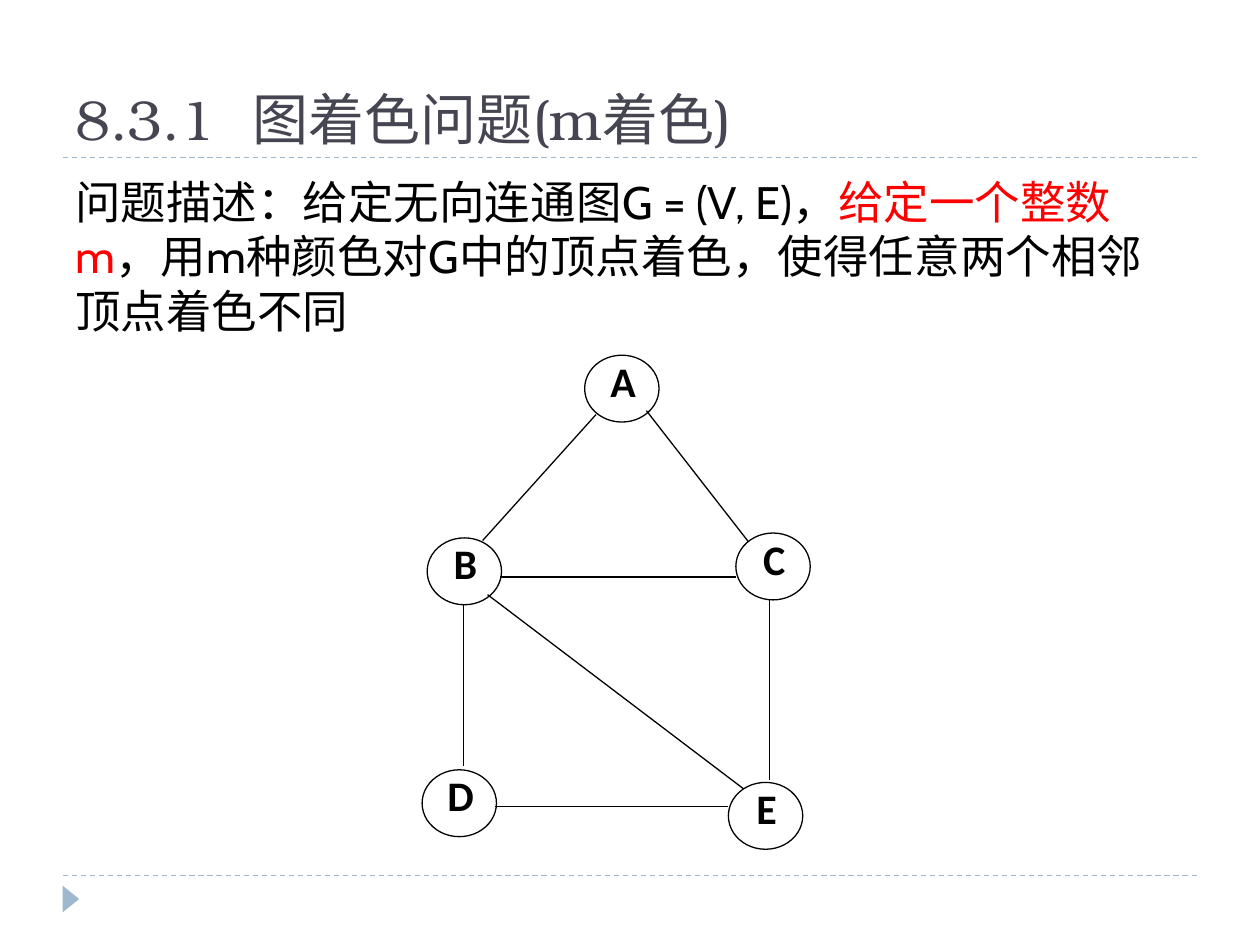
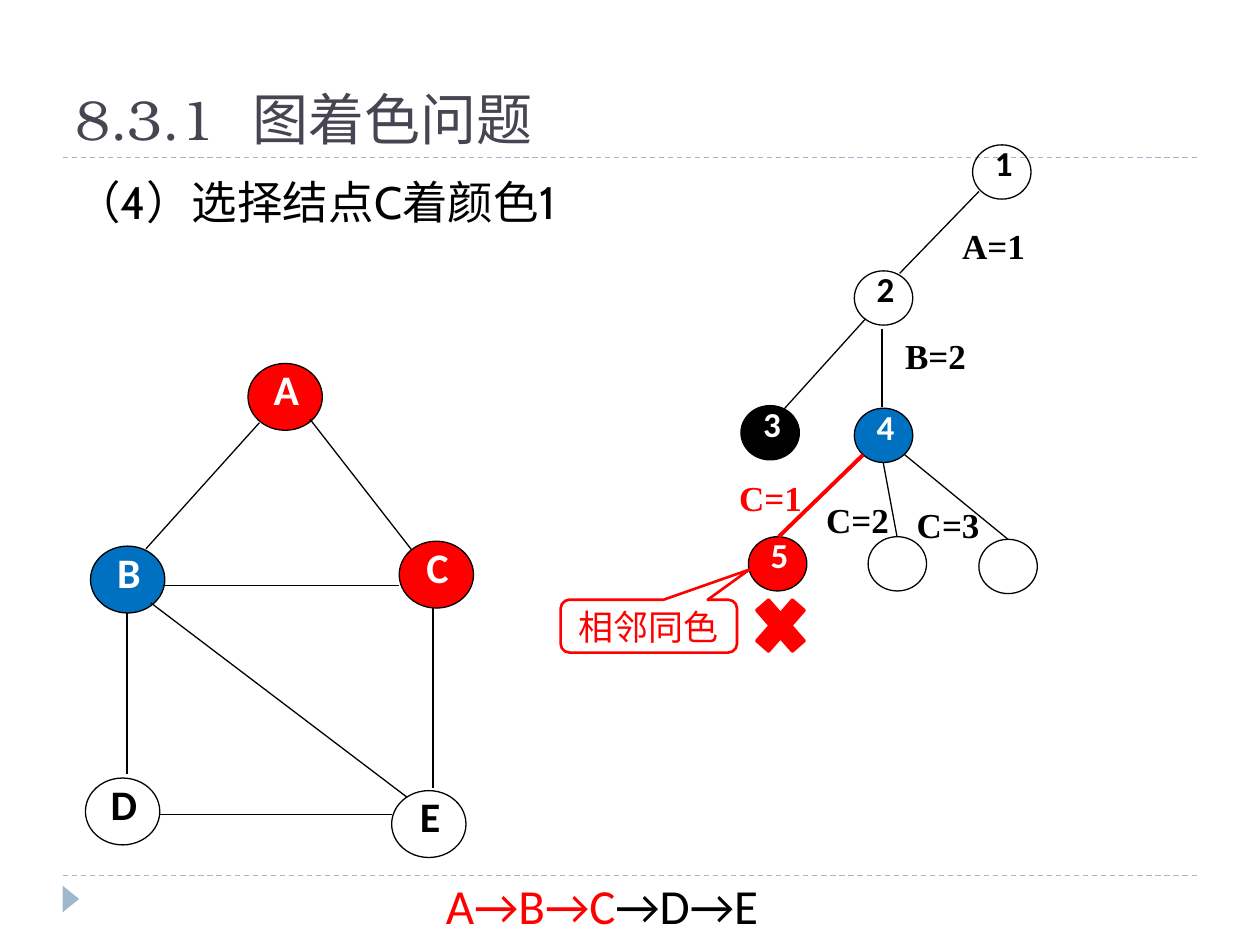
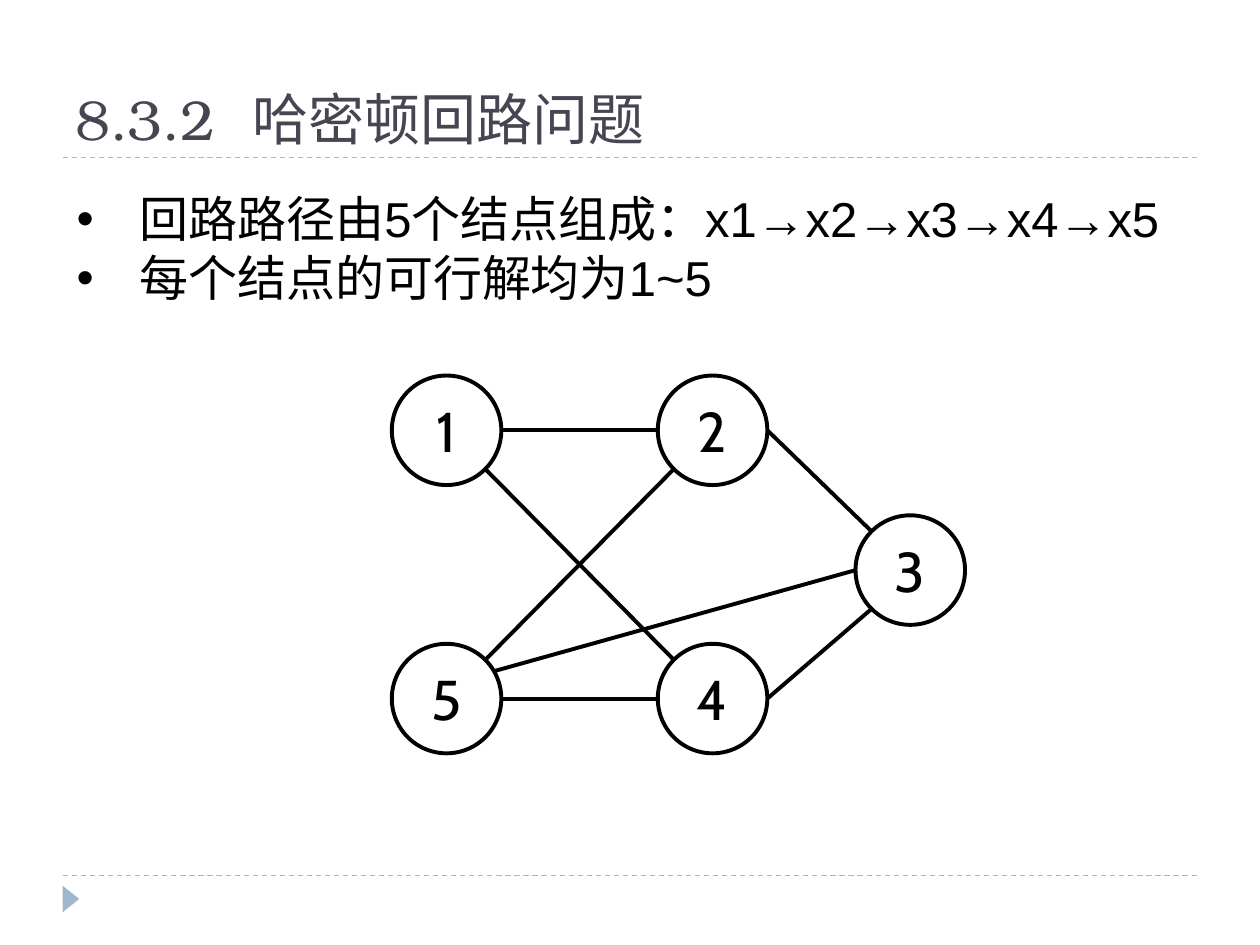
import math
from typing import NamedTuple, Optional

import lxml.etree
import pptx
import pptx.dml.color
import pptx.enum.dml
import pptx.enum.shapes
import pptx.enum.text
import pptx.oxml.ns
import pptx.util

Pt = pptx.util.Pt
RGB = pptx.dml.color.RGBColor
SHAPE = pptx.enum.shapes.MSO_SHAPE
ANCHOR = pptx.enum.text.MSO_ANCHOR
ALIGN = pptx.enum.text.PP_ALIGN
qn = pptx.oxml.ns.qn

BLACK = RGB(0x00, 0x00, 0x00)
WHITE = RGB(0xFF, 0xFF, 0xFF)
RED = RGB(0xFF, 0x00, 0x00)
BLUE = RGB(0x00, 0x70, 0xC0)
BAND = RGB(0x9F, 0xB8, 0xCD)
TITLE = RGB(0x46, 0x46, 0x53)

TITLE_FONT = "TeX Gyre Bonum"
BODY_FONT = "Cabin"
NODE_FONT = "Calibri"
LABEL_FONT = "Times New Roman"
LIST_FONT = "Arial"


class Box(NamedTuple):
    left: float
    top: float
    width: float
    height: float


class Style(NamedTuple):
    font: str
    size: float
    bold: bool = False
    align: Optional[ALIGN] = None
    spacing: Optional[float] = None


class Phrase(NamedTuple):
    text: str
    color: RGB = BLACK


class Edge(NamedTuple):
    x1: float
    y1: float
    x2: float
    y2: float
    color: RGB = BLACK
    weight: float = 0.75


class Vertex(NamedTuple):
    name: str
    left: float
    top: float
    fill: Optional[RGB] = None


class VertexKind(NamedTuple):
    width: float
    height: float
    inset: float
    style: Style


class Rim(NamedTuple):
    """A point on a circle's rim, by angle in degrees clockwise from the right."""
    name: str
    angle: float


TITLE_STYLE = Style(TITLE_FONT, 32)
BODY_STYLE = Style(BODY_FONT, 26)
LABEL_STYLE = Style(LABEL_FONT, 20, True, ALIGN.CENTER, 0.8)
GRAPH_KIND = VertexKind(42.5, 38.2, 1.4, Style(NODE_FONT, 24, True, ALIGN.CENTER, 0.8))
TREE_KIND = VertexKind(33.4, 31, 2.2, Style(NODE_FONT, 20, True, ALIGN.CENTER, 0.72))
CIRCUIT_STYLE = Style(BODY_FONT, 32, align=ALIGN.CENTER)

# Graph to be coloured, shown on two slides
GRAPH_PLACES = {"A": (334.1, 203), "C": (420.5, 304.6), "B": (244.1, 307.4),
                "D": (241.2, 439.9), "E": (416.2, 447.1)}
GRAPH_EDGES = [
    Edge(340.6, 236.9, 275.8, 308.9),
    Edge(369.4, 234.7, 427.7, 309.6),
    Edge(285.8, 329.8, 420.5, 329.8),
    Edge(265, 345.6, 265, 437.8),
    Edge(439.9, 342.7, 439.9, 445.7),
    Edge(283, 460.8, 416.2, 460.8),
    Edge(278.6, 339.8, 424.8, 450.7),
]

# Search tree of the colouring
TREE = [
    Vertex("1", 555.8, 82.8),
    Vertex("2", 488.2, 154.8),
    Vertex("3", 423.4, 231.8, BLACK),
    Vertex("4", 488.2, 233.3, BLUE),
    Vertex("5", 427.7, 306.7, RED),
    Vertex("", 496.1, 306.7),
    Vertex("", 559.4, 308.2),
]
TREE_EDGES = [
    Edge(559.4, 109.4, 514.1, 156.2),
    Edge(494.6, 182.2, 447.8, 234),
    Edge(504, 187.9, 504, 232.6),
    Edge(493.2, 259.9, 445, 306.7, RED, 2.25),
    Edge(504.7, 264.2, 512.6, 306.7),
    Edge(517, 259.9, 576, 308.2),
]
CHOICES = [
    (Phrase("A=1"), 544.3, 133.2),
    (Phrase("B=2"), 511.2, 195.8),
    (Phrase("C=1", RED), 416.9, 277.2),
    (Phrase("C=2"), 466.6, 289.4),
    (Phrase("C=3"), 518.4, 292.3),
]

# Circuit graph: circle centres and the rims each edge joins
RADIUS = 31.3
CENTERS = {"1": (255.2, 245.9), "2": (407.2, 245.9), "4": (407.2, 399.2),
           "5": (255.2, 399.2), "3": (520.2, 325.8)}
CIRCUIT_EDGES = [
    (Rim("1", 0), Rim("2", 180)),
    (Rim("1", 45), Rim("4", 225)),
    (Rim("5", -45), Rim("2", 135)),
    (Rim("5", 0), Rim("4", 180)),
    (Rim("4", 0), Rim("3", 135)),
    (Rim("2", 0), Rim("3", 225)),
    (Rim("5", -30), Rim("3", 180)),
]


def place(box: Box) -> list:
    return [Pt(length) for length in box]


def write(paragraph, phrases: list[Phrase], style: Style) -> None:
    paragraph.alignment = style.align
    paragraph.line_spacing = style.spacing
    for phrase in phrases:
        run = paragraph.add_run()
        run.text = phrase.text
        run.font.name = style.font
        run.font.size = Pt(style.size)
        run.font.bold = style.bold
        run.font.color.rgb = phrase.color


def set_insets(frame, left: float) -> None:
    frame.margin_left = Pt(left)
    frame.margin_top = frame.margin_right = frame.margin_bottom = 0


def add_text(slide, box: Box, phrases: list[Phrase], style: Style):
    frame = slide.shapes.add_textbox(*place(box)).text_frame
    frame.word_wrap = True
    write(frame.paragraphs[0], phrases, style)
    return frame


def add_outline(slide, kind: SHAPE, box: Box, fill: Optional[RGB],
                line: Optional[RGB] = BLACK, weight: float = 0.75):
    outline = slide.shapes.add_shape(kind, *place(box))
    outline.shadow.inherit = False
    if fill is None:
        outline.fill.background()
    else:
        outline.fill.solid()
        outline.fill.fore_color.rgb = fill
    if line is None:
        outline.line.fill.background()
    else:
        outline.line.color.rgb = line
        outline.line.width = Pt(weight)
    return outline


def add_edge(slide, edge: Edge, dx: float = 0, dy: float = 0):
    connector = slide.shapes.add_connector(
        pptx.enum.shapes.MSO_CONNECTOR.STRAIGHT,
        Pt(edge.x1 + dx), Pt(edge.y1 + dy), Pt(edge.x2 + dx), Pt(edge.y2 + dy))
    connector.line.color.rgb = edge.color
    connector.line.width = Pt(edge.weight)
    lxml.etree.SubElement(connector._element.spPr, qn("a:effectLst"))
    return connector


def add_vertex(slide, vertex: Vertex, kind: VertexKind) -> None:
    box = Box(vertex.left, vertex.top, kind.width, kind.height)
    ellipse = add_outline(slide, SHAPE.OVAL, box, vertex.fill)
    if vertex.name:
        frame = ellipse.text_frame
        frame.vertical_anchor = ANCHOR.TOP
        set_insets(frame, kind.inset)
        color = WHITE if vertex.fill else BLACK
        write(frame.paragraphs[0], [Phrase(vertex.name, color)], kind.style)


def add_graph(slide, fills: dict[str, RGB], dx: float = 0, dy: float = 0) -> None:
    for name, (left, top) in GRAPH_PLACES.items():
        add_vertex(slide, Vertex(name, left + dx, top + dy, fills.get(name)), GRAPH_KIND)
    for edge in GRAPH_EDGES:
        add_edge(slide, edge, dx, dy)


def add_section(deck, number: str, topic: str):
    """Add a slide with its dashed bands, corner marker and title."""
    slide = deck.slides.add_slide(deck.slide_layouts[6])
    for y in (500.4, 90):
        band = add_edge(slide, Edge(36, y, 684, y, BAND))
        band.line.dash_style = pptx.enum.dml.MSO_LINE.DASH
    marker = add_outline(slide, SHAPE.ISOSCELES_TRIANGLE, Box(33, 509, 15.1, 9.4), BAND, None)
    marker.rotation = 90

    phrases = [Phrase(text, TITLE) for text in (number, " ", topic)]
    heading = add_text(slide, Box(36, 12.2, 648, 77.8), phrases, TITLE_STYLE)
    heading.vertical_anchor = ANCHOR.BOTTOM
    # Widen the gap between number and topic (hundredths of a point)
    heading.paragraphs[0].runs[1].font._element.set("spc", "1100")
    return slide


def add_body(slide, phrases: list[Phrase]) -> None:
    body = add_text(slide, Box(36, 95.8, 648, 388.8), phrases, BODY_STYLE)
    body.paragraphs[0].space_before = Pt(6)


def add_problem_slide(deck) -> None:
    slide = add_section(deck, "8.3.1", "图着色问题(m着色)")
    add_body(slide, [
        Phrase("问题描述：给定无向连通图G = (V, E)，"),
        Phrase("给定一个整数m", RED),
        Phrase("，用m种颜色对G中的顶点着色，使得任意两个相邻顶点着色不同"),
    ])
    add_graph(slide, {})


def add_step_slide(deck) -> None:
    slide = add_section(deck, "8.3.1", "图着色问题")
    add_body(slide, [Phrase("（4）选择结点C着颜色1")])
    add_graph(slide, {"A": RED, "B": BLUE, "C": RED}, -192.4, 4.7)

    # Search tree with the choice made on each branch
    for vertex in TREE:
        add_vertex(slide, vertex, TREE_KIND)
    for edge in TREE_EDGES:
        add_edge(slide, edge)
    for phrase, left, top in CHOICES:
        choice = add_text(slide, Box(left, top, 46.8, 26.6), [phrase], LABEL_STYLE)
        set_insets(choice, 0)

    # Order of colouring
    add_text(slide, Box(247.7, 496.8, 206.6, 41),
             [Phrase("A→B→C", RED), Phrase("→D→E")], Style(NODE_FONT, 28))

    # Rejected branch
    add_outline(slide, SHAPE.MATH_MULTIPLY, Box(426.2, 334.8, 39.6, 45.4), RED, RED, 1.5)
    conflict = add_outline(slide, SHAPE.ROUNDED_RECTANGULAR_CALLOUT,
                           Box(320.4, 342.7, 100.8, 30.2), WHITE, RED, 1.5)
    conflict.adjustments[0] = 0.57
    conflict.adjustments[1] = -1.07
    conflict.text_frame.vertical_anchor = ANCHOR.MIDDLE
    write(conflict.text_frame.paragraphs[0], [Phrase("相邻同色", RED)],
          Style(BODY_FONT, 20, align=ALIGN.CENTER))


def rim_point(rim: Rim) -> tuple[float, float]:
    x, y = CENTERS[rim.name]
    angle = math.radians(rim.angle)
    return x + RADIUS * math.cos(angle), y + RADIUS * math.sin(angle)


def add_circuit_slide(deck) -> None:
    slide = add_section(deck, "8.3.2", "哈密顿回路问题")
    for name, (x, y) in CENTERS.items():
        box = Box(x - RADIUS, y - RADIUS, 2 * RADIUS, 2 * RADIUS)
        circle = add_outline(slide, SHAPE.OVAL, box, WHITE, BLACK, 2.25)
        circle.text_frame.vertical_anchor = ANCHOR.MIDDLE
        write(circle.text_frame.paragraphs[0], [Phrase(name)], CIRCUIT_STYLE)
    for start, end in CIRCUIT_EDGES:
        add_edge(slide, Edge(*rim_point(start), *rim_point(end), BLACK, 2.25))

    # Bulleted facts about the circuit
    style = Style(LIST_FONT, 28)
    facts = add_text(slide, Box(36.7, 104.4, 635.8, 74.9),
                     [Phrase("回路路径由5个结点组成：x1→x2→x3→x4→x5")], style)
    write(facts.add_paragraph(), [Phrase("每个结点的可行解均为1~5")], style)
    for fact in facts.paragraphs:
        properties = fact._p.get_or_add_pPr()
        properties.set("marL", str(Pt(36)))
        properties.set("indent", str(-Pt(36)))
        lxml.etree.SubElement(properties, qn("a:buFont"), typeface=LIST_FONT)
        lxml.etree.SubElement(properties, qn("a:buChar"), char="•")


def main() -> None:
    deck = pptx.Presentation()
    deck.slide_width = Pt(720)
    deck.slide_height = Pt(540)
    add_problem_slide(deck)
    add_step_slide(deck)
    add_circuit_slide(deck)
    deck.save("out.pptx")


if __name__ == "__main__":
    main()
